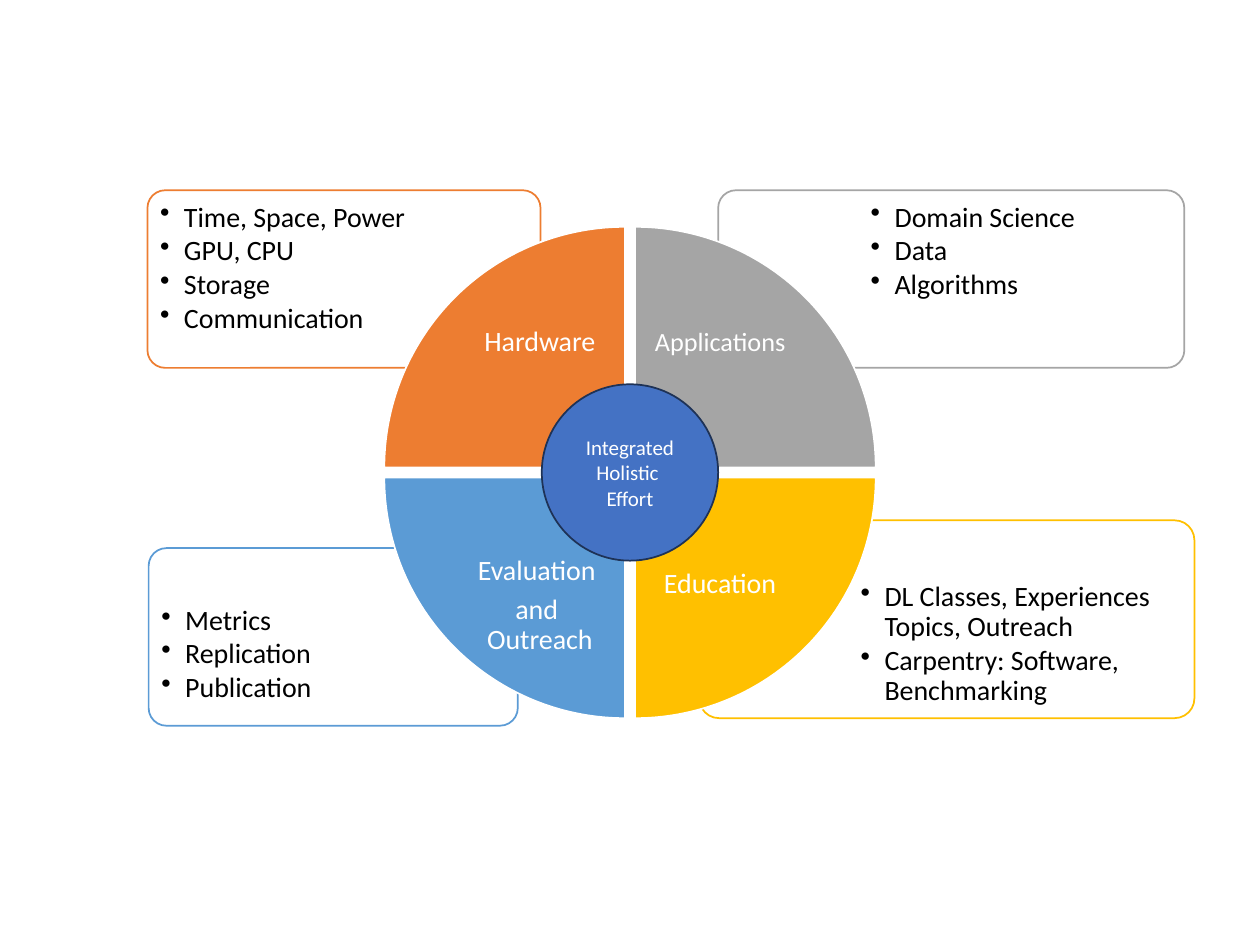
from lxml import etree
from pptx import Presentation
from pptx.dml.color import RGBColor
from pptx.enum.shapes import MSO_SHAPE
from pptx.enum.text import MSO_ANCHOR, PP_ALIGN
from pptx.oxml.ns import qn
from pptx.util import Inches, Pt

ROUND, WEDGE, OVAL = MSO_SHAPE.ROUNDED_RECTANGLE, MSO_SHAPE.PIE_WEDGE, MSO_SHAPE.OVAL
TOP, MIDDLE = MSO_ANCHOR.TOP, MSO_ANCHOR.MIDDLE
LEFT, CENTER = PP_ALIGN.LEFT, PP_ALIGN.CENTER

WHITE = RGBColor(0xFF, 0xFF, 0xFF)
BLACK = RGBColor(0x00, 0x00, 0x00)
ORANGE = RGBColor(0xED, 0x7D, 0x31)
GRAY = RGBColor(0xA5, 0xA5, 0xA5)
GOLD = RGBColor(0xFF, 0xC0, 0x00)
SKY = RGBColor(0x5B, 0x9B, 0xD5)
BLUE = RGBColor(0x44, 0x72, 0xC4)
NAVY = RGBColor(0x1E, 0x32, 0x56)

WHEEL_X, WHEEL_Y, SIZE, STEP = 3.05, 1.8, 1.91, 1.99

# color, frame, list box, list items
PANELS = [
    (GOLD, (5.55, 4.13, 3.93, 1.57), (6.76, 4.55, 2.69, 1.11),
     ["DL Classes, Experiences Topics, Outreach",
      "Carpentry: Software, Benchmarking"]),
    (SKY, (1.18, 4.35, 2.93, 1.41), (1.21, 4.74, 1.99, 0.99),
     ["Metrics", "Replication", "Publication"]),
    (GRAY, (5.7, 1.51, 3.7, 1.41), (6.84, 1.54, 2.53, 0.99),
     ["Domain Science", "Data", "Algorithms"]),
    (ORANGE, (1.17, 1.51, 3.12, 1.41), (1.2, 1.54, 2.12, 0.99),
     ["Time, Space, Power", "GPU, CPU", "Storage", "Communication"]),
]

# color, column, row, turn, label box, label lines, text size
WEDGES = [
    (ORANGE, 0, 0, 0, (3.61, 2.36, 1.35, 0.72), ["Hardware"], 16),
    (GRAY, 1, 0, 90, (5.04, 2.36, 1.35, 0.72), ["Applications"], 15),
    (GOLD, 1, 1, 180, (5.04, 4.14, 1.35, 1.0), ["Education"], 16),
    (SKY, 0, 1, 270, (3.61, 4.28, 1.35, 1.06),
     ["Evaluation ", "and \nOutreach"], 16),
]


class Board:
    def __init__(self, slide, font):
        self.slide = slide
        self.font = font

    def shape(self, kind, box, fill, line, turn=0):
        item = self.slide.shapes.add_shape(kind, *map(Inches, box))
        item.shadow.inherit = False
        item.rotation = turn
        item.fill.solid()
        item.fill.fore_color.rgb = fill
        item.line.color.rgb = line
        item.line.width = Pt(1)
        return item

    def fill(self, frame, lines, size, color, align, anchor, space=1.0, gap=0):
        """Fill a text frame, with a gap in points between paragraphs."""
        frame.word_wrap = True
        frame.vertical_anchor = anchor
        for i, line in enumerate(lines):
            para = frame.add_paragraph() if i else frame.paragraphs[0]
            para.text = line
            form = {"alignment": align, "line_spacing": space,
                    "space_after": Pt(gap if i < len(lines) - 1 else 0)}
            for name, value in form.items():
                setattr(para, name, value)
            for run in para.runs:
                for name, value in {"name": self.font, "size": Pt(size)}.items():
                    setattr(run.font, name, value)
                run.font.color.rgb = color

    def text(self, box, lines, size, color, align, anchor, inset, gap):
        frame = self.slide.shapes.add_textbox(*map(Inches, box)).text_frame
        frame.margin_left = frame.margin_right = Inches(inset)
        frame.margin_top = frame.margin_bottom = Inches(inset)
        self.fill(frame, lines, size, color, align, anchor, 0.9, gap)
        return frame

    def bullets(self, box, lines):
        frame = self.text(box, lines, 16, BLACK, LEFT, TOP, 0.07, 2)
        for para in frame.paragraphs:
            props = para._p.get_or_add_pPr()
            props.set("marL", str(Inches(0.19)))
            props.set("indent", str(-Inches(0.19)))
            etree.SubElement(props, qn("a:buChar")).set("char", "•")

    def panel(self, color, box, area, lines):
        self.shape(ROUND, box, WHITE, color).adjustments[0] = 0.1
        self.bullets(area, lines)

    def wedge(self, color, col, row, turn, area, lines, size):
        box = (WHEEL_X + col * STEP, WHEEL_Y + row * STEP, SIZE, SIZE)
        self.shape(WEDGE, box, color, WHITE, turn)
        self.text(area, lines, size, WHITE, CENTER, MIDDLE, 0.12, 5.3)

    def hub(self, box, lines):
        item = self.shape(OVAL, box, BLUE, NAVY)
        self.fill(item.text_frame, lines, 12, WHITE, CENTER, MIDDLE)


def main():
    deck = Presentation()
    deck.slide_width, deck.slide_height = Inches(10), Inches(7.5)
    board = Board(deck.slides.add_slide(deck.slide_layouts[6]), "Calibri")
    for panel in PANELS:
        board.panel(*panel)
    for wedge in WEDGES:
        board.wedge(*wedge)
    board.hub((4.3, 3.05, 1.4, 1.4), ["Integrated", "Holistic ", "Effort"])
    deck.save("out.pptx")


if __name__ == "__main__":
    main()
